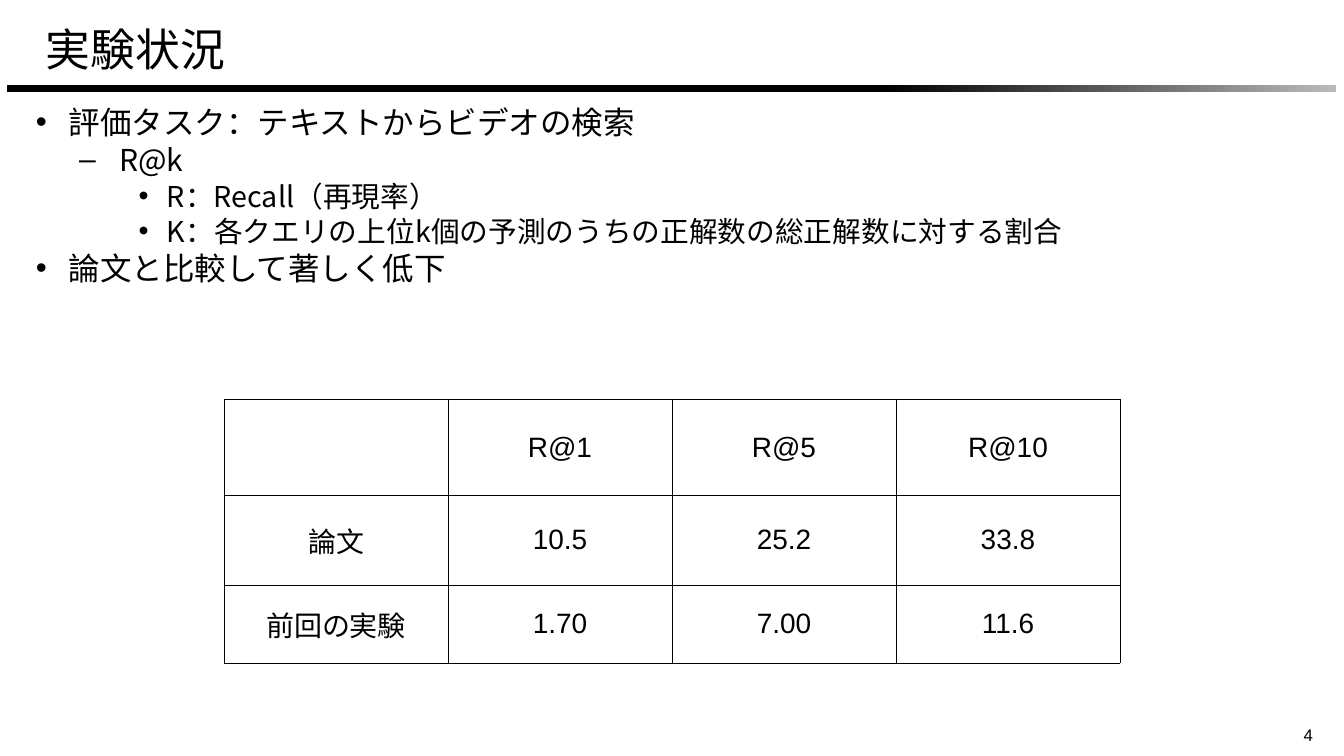
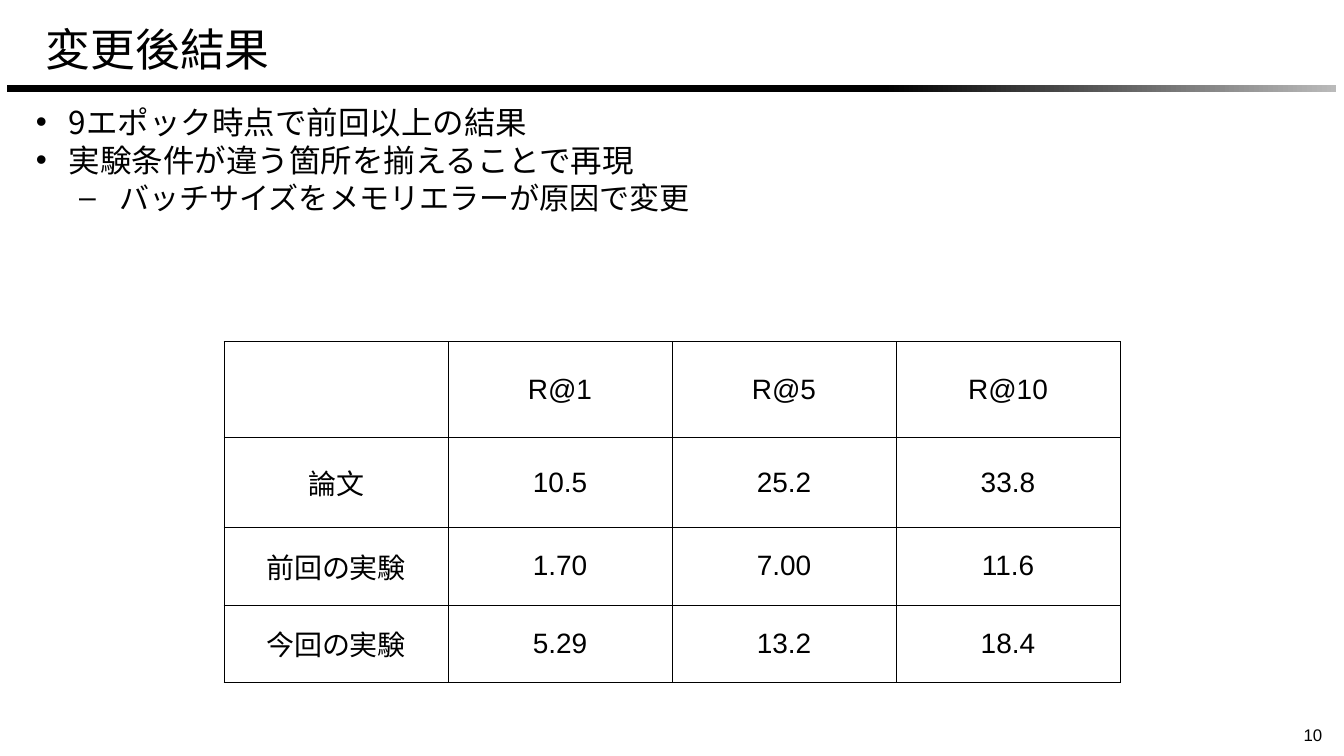
from copy import deepcopy
from typing import NamedTuple

from pptx import Presentation
from pptx import util as u
from pptx.dml.color import RGBColor
from pptx.enum import shapes, text
from pptx.oxml import ns, xmlchemy
from pptx.oxml import parse_xml

# Shared look
BLACK = RGBColor(0x00, 0x00, 0x00)
GREY = RGBColor(0xBA, 0xBA, 0xBA)
WHITE = RGBColor(0xFF, 0xFF, 0xFF)
JAPANESE, LATIN = "Noto Sans CJK JP", "Arial"
TITLE_SIZE, TABLE_SIZE, NUMBER_SIZE = 64, 40, 24

# Slide grid: 100 columns by 100 rows
WIDTH, HEIGHT = u.Inches(26.67), u.Inches(15)
COLUMN, ROW = WIDTH / 100, HEIGHT / 100


class Area(NamedTuple):
    """A rectangle in grid columns and rows."""
    left: float
    top: float
    width: float
    height: float

    def emu(self) -> tuple[int, int, int, int]:
        return (int(self.left * COLUMN), int(self.top * ROW),
                int(self.width * COLUMN), int(self.height * ROW))


class Level(NamedTuple):
    """Bullet style; margin and hanging indent in inches."""
    bullet: str
    size: int
    margin: float
    hanging: float


class Point(NamedTuple):
    level: int
    wording: str


class ResultSlide(NamedTuple):
    title: str
    number: int
    points: list[Point]
    table_top: float
    results: list[tuple[str, ...]]


TITLE = Area(3.26, 0.93, 82.23, 11)
BAND = Area(0.52, 11.2, 98.91, 0.93)
BODY = Area(2.1, 13.87, 97.56, 85.67)
PAGE_NUMBER = Area(96.63, 95.53, 2.17, 3.87)
TABLE_COLUMN = 100 / 6
HEADER_ROW, PAPER_ROW, TRIAL_ROW = 12.67, 11.87, 10.27

LEVELS = [Level("•", 45, 0.69, 0.65),
          Level("–", 43, 1.7, 0.8),
          Level("•", 41, 2.64, 0.56)]

# Content
COMMON_RESULTS = [("", "R@1", "R@5", "R@10"),
                  ("論文", "10.5", "25.2", "33.8"),
                  ("前回の実験", "1.70", "7.00", "11.6")]

SLIDES = [
    ResultSlide("実験状況", 4, [
        Point(0, "評価タスク：テキストからビデオの検索"),
        Point(1, "R@k"),
        Point(2, "R：Recall（再現率）"),
        Point(2, "K：各クエリの上位k個の予測のうちの正解数の総正解数に対する割合"),
        Point(0, "論文と比較して著しく低下"),
    ], 52.87, COMMON_RESULTS),
    ResultSlide("変更後結果", 10, [
        Point(0, "9エポック時点で前回以上の結果"),
        Point(0, "実験条件が違う箇所を揃えることで再現"),
        Point(1, "バッチサイズをメモリエラーが原因で変更"),
    ], 45.2, COMMON_RESULTS + [("今回の実験", "5.29", "13.2", "18.4")]),
]


def element(tag: str, attributes: str = "", inner: str = "") -> xmlchemy.BaseOxmlElement:
    return parse_xml(f'<a:{tag} {ns.nsdecls("a")} {attributes}>{inner}</a:{tag}>')


def style(paragraph, size: int, latin: str = JAPANESE) -> None:
    """Set size, colour and both Latin and Japanese typefaces."""
    font = paragraph.font
    font.size = u.Pt(size)
    font.color.rgb = BLACK
    font.name = latin
    defaults = paragraph._p.pPr.find(ns.qn("a:defRPr"))
    defaults.find(ns.qn("a:latin")).addnext(element("ea", f'typeface="{JAPANESE}"'))


def set_insets(frame, inset: float) -> None:
    frame.margin_left = frame.margin_right = u.Inches(inset)
    frame.margin_top = frame.margin_bottom = u.Inches(inset)


def draw_title(slide, wording: str) -> None:
    title = slide.shapes.title
    title.left, title.top, title.width, title.height = TITLE.emu()
    frame = title.text_frame
    frame.text = wording
    frame.auto_size = text.MSO_AUTO_SIZE.NONE
    frame.vertical_anchor = text.MSO_ANCHOR.MIDDLE
    set_insets(frame, 0)
    frame.margin_left = u.Inches(0.04)
    frame.paragraphs[0].alignment = text.PP_ALIGN.LEFT
    style(frame.paragraphs[0], TITLE_SIZE)


def draw_band(slide) -> None:
    """Rule below the title: black for two thirds, then fading to grey."""
    band = slide.shapes.add_shape(shapes.MSO_SHAPE.RECTANGLE, *BAND.emu())
    band.shadow.inherit = False
    band.line.fill.background()
    band.fill.gradient()
    band.fill.gradient_angle = 0
    start, end = band.fill.gradient_stops
    start.color.rgb, start.position = BLACK, 0
    end.color.rgb, end.position = GREY, 1
    first_stop = band._element.find(f'.//{ns.qn("a:gs")}')
    fade_start = deepcopy(first_stop)
    fade_start.set("pos", "66000")
    first_stop.addnext(fade_start)


def draw_page_number(slide, number: int) -> None:
    frame = slide.shapes.add_textbox(*PAGE_NUMBER.emu()).text_frame
    frame.word_wrap = True
    frame.margin_right = 0
    frame.text = str(number)
    style(frame.paragraphs[0], NUMBER_SIZE, LATIN)


def draw_points(slide, points: list[Point]) -> None:
    frame = slide.shapes.add_textbox(*BODY.emu()).text_frame
    frame.word_wrap = True
    set_insets(frame, 0.11)
    for index, point in enumerate(points):
        paragraph = frame.add_paragraph() if index else frame.paragraphs[0]
        level = LEVELS[point.level]
        paragraph.text = point.wording
        paragraph.level = point.level
        paragraph.line_spacing = 0.8
        paragraph.space_before = u.Pt(11.2)
        style(paragraph, level.size)
        properties = paragraph._p.pPr
        properties.set("marL", str(u.Inches(level.margin)))
        properties.set("indent", str(-u.Inches(level.hanging)))
        defaults = properties.find(ns.qn("a:defRPr"))
        defaults.addprevious(element("buFont", f'typeface="{LATIN}"'))
        defaults.addprevious(element("buChar", f'char="{level.bullet}"'))


def draw_borders(cell) -> None:
    properties = cell._tc.get_or_add_tcPr()
    colour = f'<a:solidFill><a:srgbClr val="{BLACK}"/></a:solidFill>'
    for position, side in enumerate(("lnL", "lnR", "lnT", "lnB")):
        properties.insert(position, element(side, f'w="{u.Pt(1)}"', colour))


def draw_results(slide, top: float, results: list[tuple[str, ...]]) -> None:
    heights = [HEADER_ROW, PAPER_ROW] + [TRIAL_ROW] * (len(results) - 2)
    column_count = len(results[0])
    area = Area(TABLE_COLUMN, top, TABLE_COLUMN * column_count, sum(heights))
    table = slide.shapes.add_table(len(results), column_count, *area.emu()).table
    table.first_row = table.horz_banding = False
    for row, height, values in zip(table.rows, heights, results):
        row.height = int(height * ROW)
        for cell, value in zip(row.cells, values):
            cell.fill.solid()
            cell.fill.fore_color.rgb = WHITE
            draw_borders(cell)
            cell.vertical_anchor = text.MSO_ANCHOR.MIDDLE
            cell.text = value
            paragraph = cell.text_frame.paragraphs[0]
            paragraph.alignment = text.PP_ALIGN.CENTER
            style(paragraph, TABLE_SIZE, LATIN)


def main() -> None:
    deck = Presentation()
    deck.slide_width, deck.slide_height = WIDTH, HEIGHT
    title_only = deck.slide_layouts.get_by_name("Title Only")
    for content in SLIDES:
        slide = deck.slides.add_slide(title_only)
        draw_band(slide)
        draw_page_number(slide, content.number)
        draw_title(slide, content.title)
        draw_points(slide, content.points)
        draw_results(slide, content.table_top, content.results)
    deck.save("out.pptx")


if __name__ == "__main__":
    main()
